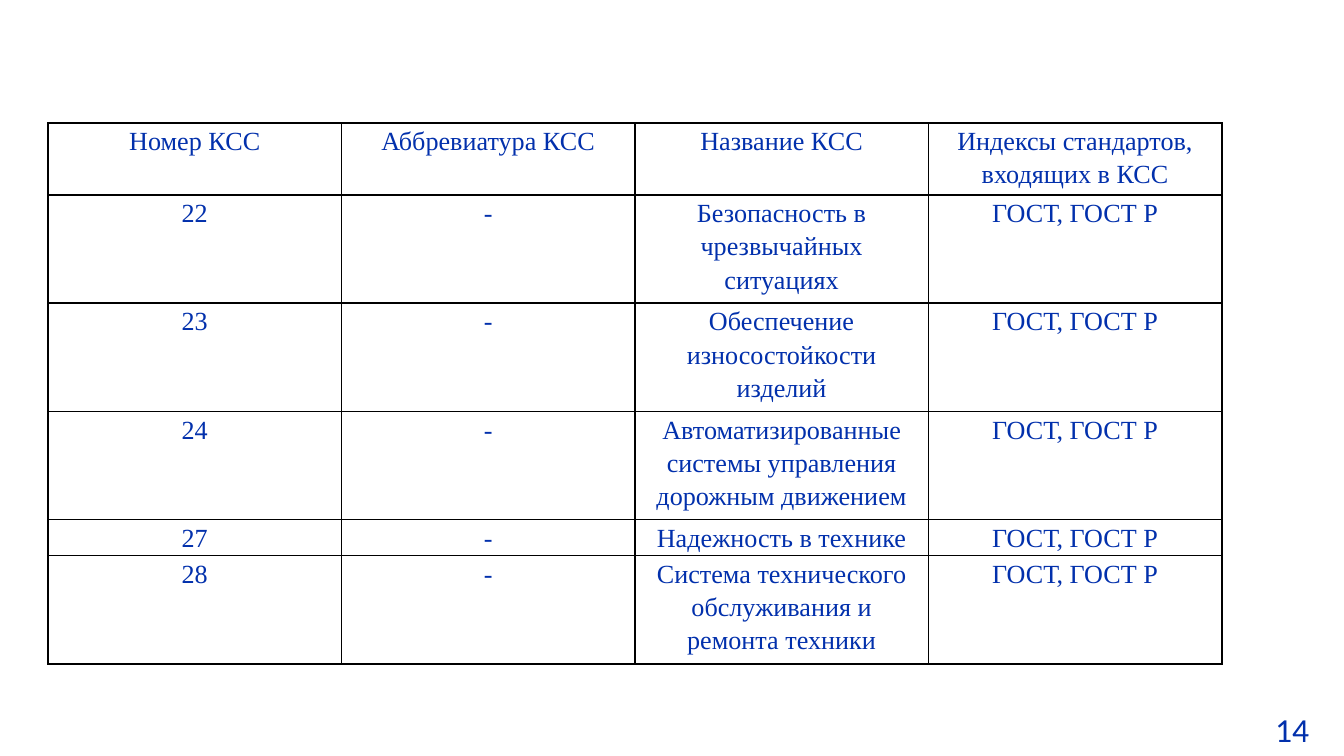
"""Build the slide with the table of standards systems (КСС)."""
import pptx
import pptx.dml.color
import pptx.enum.text
import pptx.util
from lxml import etree

PX = 914400 / 134.4
COLORS = {"text": "0230AC", "border": "000000"}
NS = "http://schemas.openxmlformats.org/drawingml/2006/main"
INDEXES = "ГОСТ, ГОСТ Р"
HEADER = ["Номер КСС", "Аббревиатура КСС", "Название КСС",
          "Индексы стандартов, входящих в КСС"]
SYSTEMS = [
    ("22", "Безопасность в чрезвычайных ситуациях"),
    ("23", "Обеспечение износостойкости изделий"),
    ("24", "Автоматизированные системы управления дорожным движением"),
    ("27", "Надежность в технике"),
    ("28", "Система технического обслуживания и ремонта техники"),
]


def px(n):
    return pptx.util.Emu(round(n * PX))


class Deck:
    """Style and current slide."""

    def __init__(self, width, height):
        self.prs = pptx.Presentation()
        self.prs.slide_width, self.prs.slide_height = px(width), px(height)
        self.s = self.prs.slides.add_slide(self.prs.slide_layouts[6])

    def run(self, p, text, font, size):
        r = p.add_run()
        r.text = text
        r.font.name, r.font.size = font, pptx.util.Pt(size)
        r.font.color.rgb = pptx.dml.color.RGBColor.from_string(COLORS["text"])

    def text(self, x, y, w, h, text, font, size):
        sp = self.s.shapes.add_textbox(px(x), px(y), px(w), px(h))
        tf = sp.text_frame
        tf.word_wrap = True
        self.run(tf.paragraphs[0], text, font, size)

    def borders(self, cell):
        tcPr = cell._tc.get_or_add_tcPr()
        for side in "LRTB":
            ln = etree.SubElement(tcPr, f"{{{NS}}}ln{side}", w="12700")
            fill = etree.SubElement(ln, f"{{{NS}}}solidFill")
            etree.SubElement(fill, f"{{{NS}}}srgbClr", val=COLORS["border"])

    def cell(self, cell, text):
        cell.margin_left = cell.margin_right = px(10)
        cell.margin_top = cell.margin_bottom = 0
        self.borders(cell)
        cell.fill.background()
        p = cell.text_frame.paragraphs[0]
        p.alignment = pptx.enum.text.PP_ALIGN.CENTER
        p.line_spacing = 1.15
        self.run(p, text, "Times New Roman", 14)

    def table(self, x, y, col_width, heights, rows):
        cols = len(rows[0])
        table = self.s.shapes.add_table(
            len(rows), cols, px(x), px(y),
            px(col_width * cols), px(sum(heights))).table
        table.first_row = table.horz_banding = False
        for col in table.columns:
            col.width = px(col_width)
        for i, (height, row) in enumerate(zip(heights, rows)):
            table.rows[i].height = px(height)
            for j, text in enumerate(row):
                self.cell(table.cell(i, j), text)


def main():
    deck = Deck(1344, 756)
    deck.text(1262, 702, 79, 54, "14", "Calibri", 18)
    rows = [HEADER] + [(n, "-", name, INDEXES) for n, name in SYSTEMS]
    heights = [36 * lines for lines in (2, 3, 3, 3, 1, 3)]
    deck.table(48, 123, 293.5, heights, rows)
    deck.prs.save("out.pptx")


if __name__ == "__main__":
    main()
